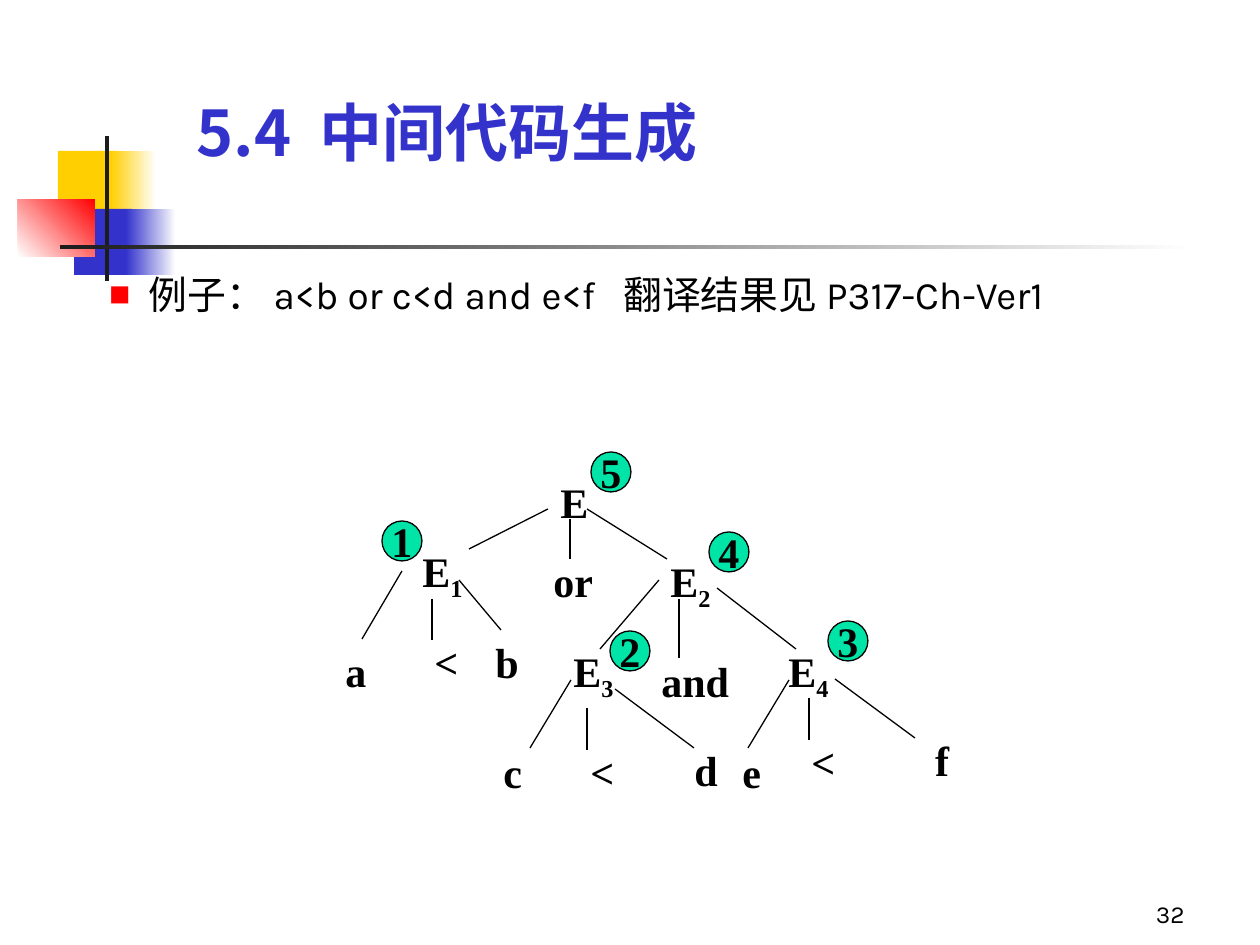
from lxml import etree
from pptx import Presentation
from pptx.dml.color import RGBColor as RGB
from pptx.enum.shapes import MSO_CONNECTOR as CONNECTOR, MSO_SHAPE as SHAPE
from pptx.enum.text import MSO_ANCHOR as ANCHOR, PP_ALIGN as ALIGN
from pptx.oxml.ns import qn
from pptx.util import Emu, Pt

PX = 914400 / 126
COLORS = {"yellow": "FFCF01", "blue": "3333CC", "red": "FF0000", "dark": "1C1C1C",
          "white": "FFFFFF", "black": "000000", "green": "00E4A8"}
SANS, CJK, SERIF = "Karla", "Noto Sans CJK SC", "Times New Roman"


def px(*lengths):
    return [Emu(round(length * PX)) for length in lengths]


def write(shape, text, subscript="", size=24, font=SERIF, color="black", bold=False,
          align=ALIGN.LEFT, anchor=ANCHOR.TOP, wrap=True, bullet=None):
    frame = shape.text_frame
    frame.word_wrap = wrap
    frame.vertical_anchor = anchor
    paragraph = frame.paragraphs[0]
    paragraph.alignment = align
    if bullet:
        properties = paragraph._p.get_or_add_pPr()
        properties.set("marL", str(px(102)[0]))
        properties.set("indent", str(px(-39)[0]))
        bullet_color = etree.SubElement(properties, qn("a:buClr"))
        etree.SubElement(bullet_color, qn("a:srgbClr"), val=COLORS["red"])
        etree.SubElement(properties, qn("a:buSzPct"), val="55000")
        etree.SubElement(properties, qn("a:buFont"), typeface=CJK)
        etree.SubElement(properties, qn("a:buChar"), char=bullet)
    for part in filter(None, (text, subscript)):
        run = paragraph.add_run()
        run.text = part
        run.font.size = Pt(size)
        run.font.name = font
        run.font.bold = bold
        run.font.color.rgb = RGB.from_string(COLORS[color])
        run_properties = run._r.get_or_add_rPr()
        etree.SubElement(run_properties, qn("a:ea"),
                         typeface=SERIF if font == SERIF else CJK)
        if part == subscript:
            run_properties.set("baseline", "-25000")


presentation = Presentation()
presentation.slide_width, presentation.slide_height = px(1260, 945)
slide = presentation.slides.add_slide(presentation.slide_layouts[6])
shapes = slide.shapes

# Corner decoration: box, colour, optional end colour, gradient angle
decoration = [
    ((58, 151, 60, 66), "yellow", None, 0),
    ((111, 151, 45, 66), "yellow", "white", 0),
    ((74, 209, 58, 66), "blue", None, 0),
    ((126, 209, 50, 66), "blue", "white", 0),
    ((18, 199, 77, 58), "white", "red", 45),
    ((105, 136, 4, 145), "dark", None, 0),
    ((60, 245, 1134, 4), "dark", "white", 0),
]
for box, start, end, angle in decoration:
    shape = shapes.add_shape(SHAPE.RECTANGLE, *px(*box))
    shape.shadow.inherit = False
    shape.line.fill.background()
    if end:
        shape.fill.gradient()
        shape.fill.gradient_angle = angle
        for stop, name in zip(shape.fill.gradient_stops, (start, end)):
            stop.color.rgb = RGB.from_string(COLORS[name])
    else:
        shape.fill.solid()
        shape.fill.fore_color.rgb = RGB.from_string(COLORS[start])

# Title, example line and page number
write(shapes.add_textbox(*px(184, 86, 940, 89)), "5.4  中间代码生成",
      size=36, font=CJK, color="blue", bold=True, anchor=ANCHOR.BOTTOM)
write(shapes.add_textbox(*px(34, 265, 1162, 89)),
      "例子： a<b or c<d and e<f   翻译结果见 P317-Ch-Ver1",
      size=22.2, font=SANS, bullet="■")
write(shapes.add_textbox(*px(935, 872, 262, 63)), "32", size=14, font=SANS,
      align=ALIGN.RIGHT, anchor=ANCHOR.BOTTOM)

# Tree branches: from x, y to x, y
branches = [
    (548, 509, 469, 549), (570, 519, 570, 559), (587, 509, 667, 559),
    (402, 571, 362, 639), (432, 599, 432, 640), (459, 580, 501, 630),
    (659, 580, 600, 649), (679, 599, 679, 658), (717, 588, 796, 649),
    (571, 680, 530, 748), (587, 708, 587, 750), (615, 689, 694, 748),
    (789, 680, 748, 748), (809, 698, 809, 740), (835, 679, 915, 738),
]
for branch in branches:
    connector = shapes.add_connector(CONNECTOR.STRAIGHT, *px(*branch))
    connector.line.width = Pt(0.75)
    connector.line.color.rgb = RGB.from_string(COLORS["black"])
    etree.SubElement(connector._element.spPr, qn("a:effectLst"))

# Tree nodes: text, subscript, left, top, width, alignment
nodes = [
    ("E", "", 548, 470, 42, ALIGN.LEFT),
    ("E", "1", 410, 539, 72, ALIGN.LEFT),
    ("or", "", 541, 549, 69, ALIGN.LEFT),
    ("E", "2", 658, 549, 69, ALIGN.LEFT),
    ("a", "", 333, 639, 92, ALIGN.LEFT),
    ("<", "", 422, 630, 59, ALIGN.LEFT),
    ("b", "", 461, 630, 92, ALIGN.CENTER),
    ("E", "3", 561, 639, 69, ALIGN.LEFT),
    ("and", "", 649, 649, 100, ALIGN.LEFT),
    ("E", "4", 776, 639, 92, ALIGN.LEFT),
    ("c", "", 491, 740, 92, ALIGN.LEFT),
    ("<", "", 578, 740, 59, ALIGN.LEFT),
    ("d", "", 674, 738, 64, ALIGN.CENTER),
    ("e", "", 730, 740, 59, ALIGN.LEFT),
    ("<", "", 799, 730, 59, ALIGN.LEFT),
    ("f", "", 896, 728, 92, ALIGN.CENTER),
]
for text, subscript, left, top, width, align in nodes:
    height = 71 if subscript else 63
    write(shapes.add_textbox(*px(left, top, width, height)), text, subscript,
          bold=True, align=align)

# Evaluation order, numbered from 1
order_marks = [(382, 521), (610, 631), (828, 621), (709, 532), (591, 452)]
for number, (left, top) in enumerate(order_marks, start=1):
    circle = shapes.add_shape(SHAPE.OVAL, *px(left, top, 40, 40))
    circle.shadow.inherit = False
    circle.fill.solid()
    circle.fill.fore_color.rgb = RGB.from_string(COLORS["green"])
    circle.line.color.rgb = RGB.from_string(COLORS["black"])
    circle.line.width = Pt(0.75)
    write(circle, str(number), bold=True, align=ALIGN.CENTER,
          anchor=ANCHOR.MIDDLE, wrap=False)

presentation.save("out.pptx")
